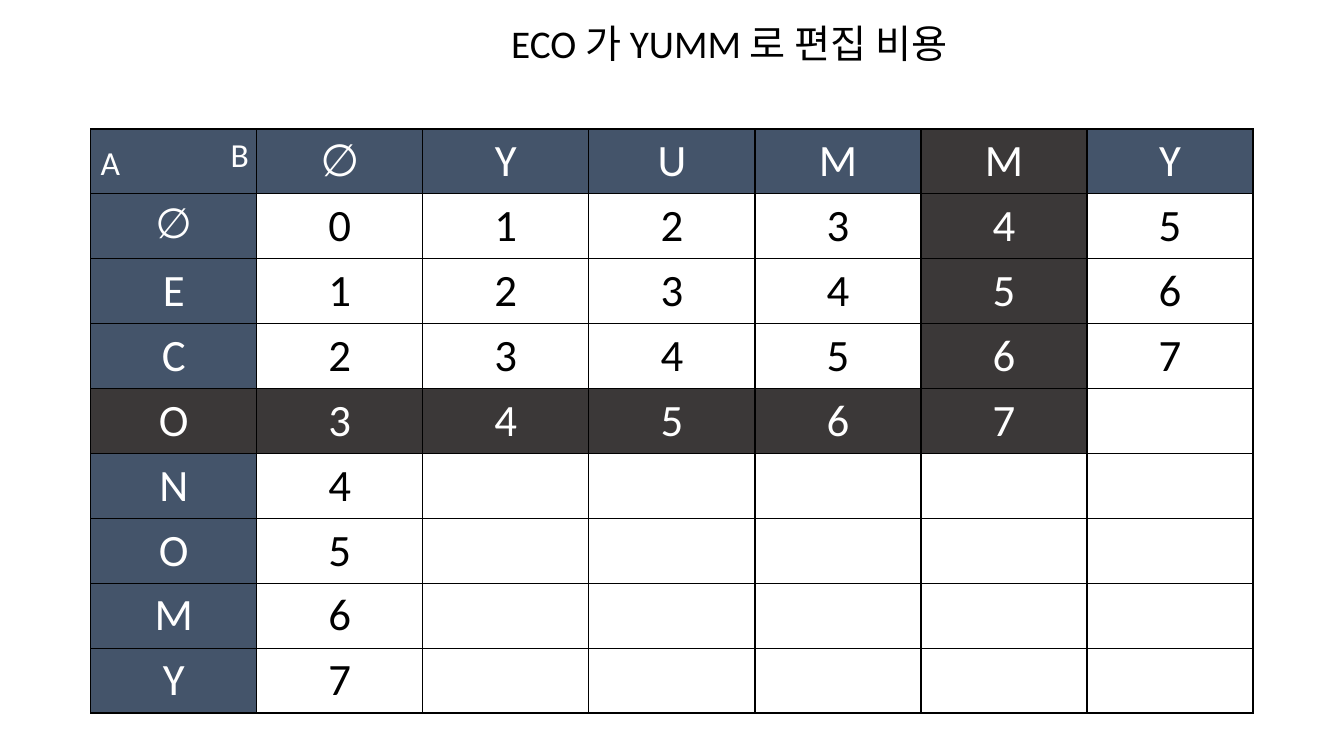
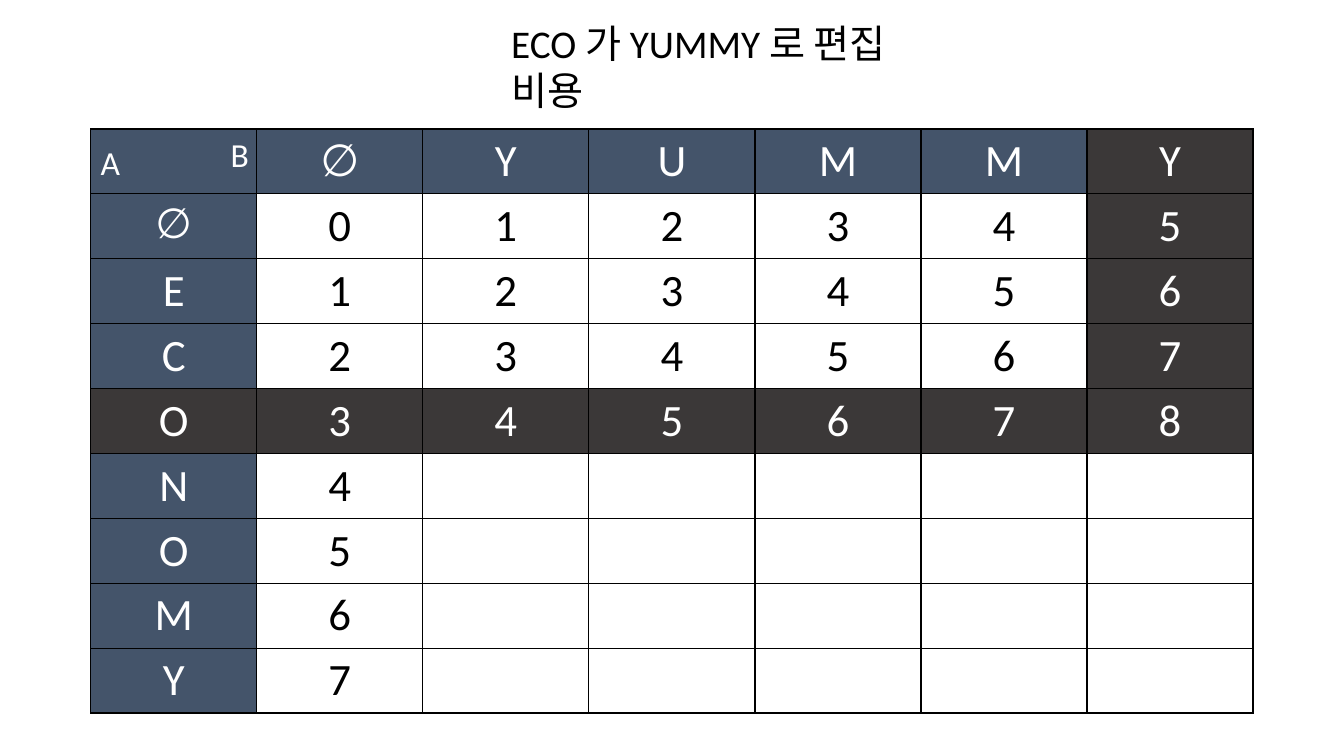
from dataclasses import dataclass

from lxml.etree import SubElement
from pptx import Presentation
from pptx.dml.color import RGBColor
from pptx.enum.text import MSO_ANCHOR, MSO_AUTO_SIZE, PP_ALIGN
from pptx.oxml.ns import qn
from pptx.util import Inches, Pt


@dataclass(frozen=True)
class Theme:
    font: str = "Calibri"
    ink: str = "000000"
    paper: str = "FFFFFF"
    head: str = "44546A"
    mark: str = "3B3838"
    title: int = 28
    label: int = 24
    cell: int = 32
    small: int = 30
    rule: int = 1


EMPTY = "∅"
SOURCE = EMPTY + "ECONOMY"
TARGET = EMPTY + "YUMMY"
ROW = SOURCE.index("O")


class Deck:
    def __init__(self, theme):
        self.theme = theme
        self.show = Presentation()
        self.show.slide_width = Inches(13.33)
        self.show.slide_height = Inches(7.5)
        self.slide = None

    def add_text(self, para, text, size, color):
        run = para.add_run()
        run.text = text
        run.font.name = self.theme.font
        run.font.size = Pt(size)
        run.font.bold = False
        run.font.color.rgb = RGBColor.from_string(color)

    def page(self, title):
        """Start a title-only slide and place its title."""
        self.slide = self.show.slides.add_slide(self.show.slide_layouts[5])
        box = self.slide.shapes.title
        box.left, box.top = Inches(4.97), Inches(0.14)
        box.width, box.height = Inches(4.7), Inches(1.03)
        frame = box.text_frame
        frame.word_wrap = True
        frame.auto_size = MSO_AUTO_SIZE.NONE
        frame.vertical_anchor = MSO_ANCHOR.TOP
        para = frame.paragraphs[0]
        para.alignment = PP_ALIGN.LEFT
        self.add_text(para, title, self.theme.title, self.theme.ink)

    def label(self, text, left, top):
        box = self.slide.shapes.add_textbox(
            Inches(left), Inches(top), Inches(0.4), Inches(0.5))
        frame = box.text_frame
        frame.word_wrap = False
        para = frame.paragraphs[0]
        self.add_text(para, text, self.theme.label, self.theme.paper)

    def border(self, cell):
        props = cell._tc.get_or_add_tcPr()
        for side in ("a:lnL", "a:lnR", "a:lnT", "a:lnB"):
            line = SubElement(props, qn(side), w=str(Pt(self.theme.rule)))
            fill = SubElement(line, qn("a:solidFill"))
            SubElement(fill, qn("a:srgbClr"), val=self.theme.ink)

    def cell(self, cell, text, fill, size):
        self.border(cell)
        cell.fill.solid()
        cell.fill.fore_color.rgb = RGBColor.from_string(fill)
        if text:
            para = cell.text_frame.paragraphs[0]
            para.alignment = PP_ALIGN.CENTER
            light = fill == self.theme.paper
            color = self.theme.ink if light else self.theme.paper
            self.add_text(para, text, size, color)

    def grid(self, col):
        """Draw the cost table, marking the path to ROW and col."""
        theme = self.theme
        table = self.slide.shapes.add_table(
            len(SOURCE) + 1, len(TARGET) + 1,
            Inches(0.9), Inches(1.28), Inches(11.53), Inches(5.79)).table
        table.first_row = table.horz_banding = False
        # Index -1 stands for the header row and the header column.
        for r in range(-1, len(SOURCE)):
            for c in range(-1, len(TARGET)):
                size = theme.cell
                if r < 0 and c < 0:
                    text = ""
                elif r < 0:
                    text = TARGET[c]
                elif c < 0:
                    text = SOURCE[r]
                    size = theme.small if text == EMPTY else size
                else:
                    known = r < ROW or c == 0 or (r == ROW and c <= col)
                    text = str(r + c) if known else ""
                if (r == ROW and c <= col) or (c == col and r <= ROW):
                    fill = theme.mark
                else:
                    fill = theme.head if min(r, c) < 0 else theme.paper
                self.cell(table.cell(r + 1, c + 1), text, fill, size)

    def step(self, col):
        """Add the slide that edits the source into the first col letters."""
        self.page(f"{SOURCE[1:ROW + 1]} 가 {TARGET[1:col + 1]} 로 편집 비용")
        self.grid(col)
        self.label("A", 0.9, 1.36)
        self.label("B", 2.19, 1.28)


def main():
    deck = Deck(Theme())
    for col in (4, 5):
        deck.step(col)
    deck.show.save("out.pptx")


if __name__ == "__main__":
    main()
